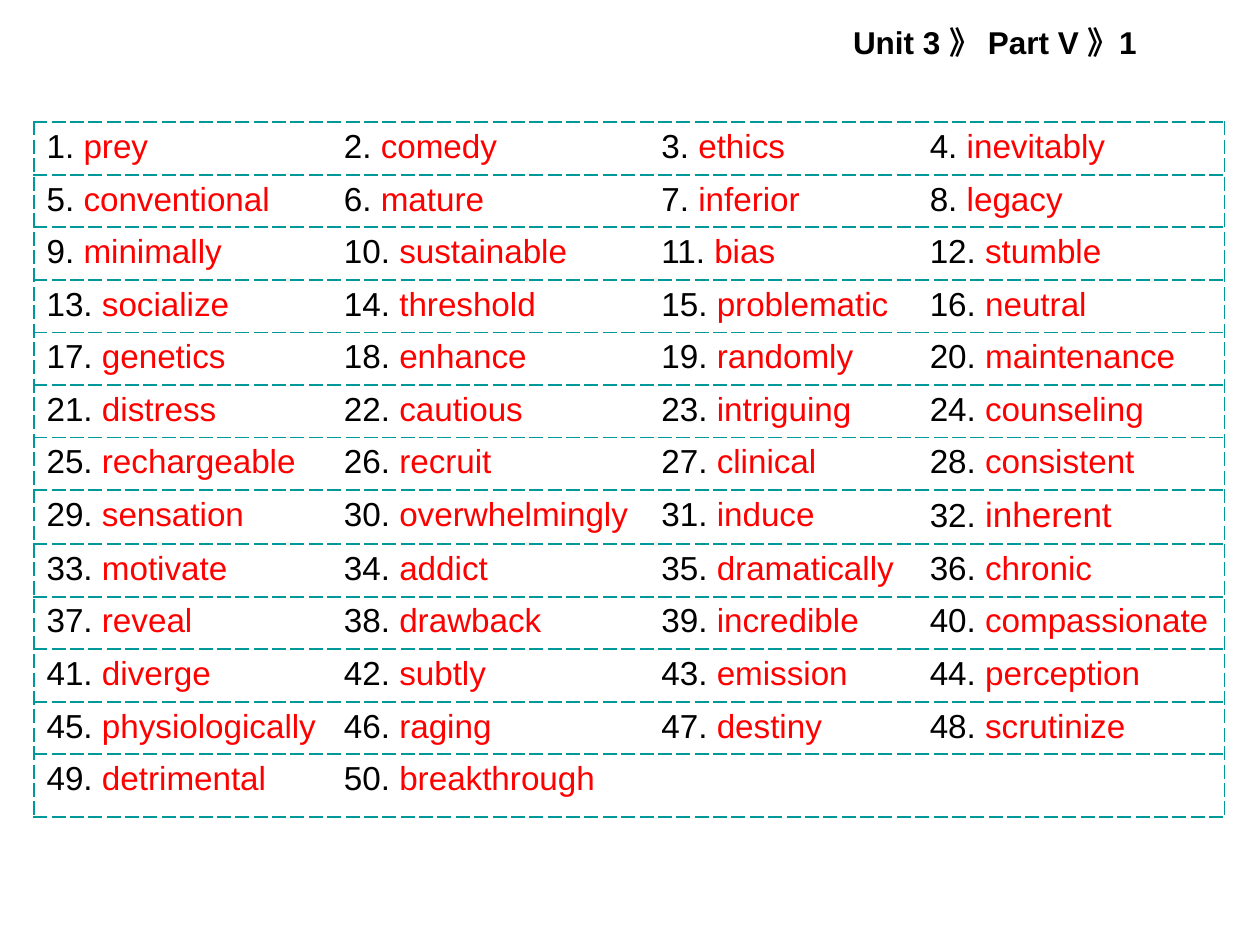
from lxml import etree
from pptx import Presentation
from pptx.dml.color import RGBColor
from pptx.enum import text
from pptx.oxml import ns
from pptx.util import Inches, Pt

WORDS = """prey comedy ethics inevitably
conventional mature inferior legacy
minimally sustainable bias stumble
socialize threshold problematic neutral
genetics enhance randomly maintenance
distress cautious intriguing counseling
rechargeable recruit clinical consistent
sensation overwhelmingly induce inherent
motivate addict dramatically chronic
reveal drawback incredible compassionate
diverge subtly emission perception
physiologically raging destiny scrutinize
detrimental breakthrough""".split()
COLS = [2.36, 2.52, 2.13, 2.44]
ROWS = [0.417] * 7 + [0.43] + [0.417] * 4 + [0.5]
NO_GRID = "{2D5ABB26-0587-4C30-8999-92F81FD0307C}"


def add_run(p, words, size, color, bold=False):
    r = p.add_run()
    r.text = words
    r.font.name = "Arial"
    r.font.size = Pt(size)
    r.font.bold = bold
    r.font.color.rgb = RGBColor.from_string(color)


def add_border(cell, side, color):
    ln = etree.SubElement(cell._tc.get_or_add_tcPr(), ns.qn("a:" + side), w=str(Pt(1.08)))
    fill = etree.SubElement(ln, ns.qn("a:solidFill"))
    etree.SubElement(fill, ns.qn("a:srgbClr"), val=color)
    etree.SubElement(ln, ns.qn("a:prstDash"), val="dash")


prs = Presentation()
prs.slide_width, prs.slide_height = Inches(10), Inches(7.5)
s = prs.slides.add_slide(prs.slide_layouts[5])

# Word table
frame = s.shapes.add_table(len(ROWS), len(COLS), Inches(0.27), Inches(0.97),
                           Inches(sum(COLS)), Inches(sum(ROWS)))
table = frame.table
table.first_row = table.horz_banding = False
table._tbl.tblPr.find(ns.qn("a:tableStyleId")).text = NO_GRID
for col, width in zip(table.columns, COLS):
    col.width = Inches(width)
for row, height in zip(table.rows, ROWS):
    row.height = Inches(height)

# Dashed rules between rows and around the table
for row in table.rows:
    for i, cell in enumerate(row.cells):
        if i == 0:
            add_border(cell, "lnL", "009999")
        if i == len(COLS) - 1:
            add_border(cell, "lnR", "009999")
        add_border(cell, "lnT", "009999")
        add_border(cell, "lnB", "009999")
        cell.fill.background()

# Numbered words, row by row
for i, word in enumerate(WORDS):
    p = table.cell(*divmod(i, len(COLS))).text_frame.paragraphs[0]
    add_run(p, f"{i + 1}. ", 19, "000000")
    add_run(p, word, 20 if word == "inherent" else 19, "FF0000")

# Heading
title = s.shapes.title
title.left, title.top = Inches(6.67), Inches(0.13)
title.width, title.height = Inches(2.7), Inches(0.4)
tf = title.text_frame
tf.word_wrap = False
tf.auto_size = text.MSO_AUTO_SIZE.NONE
tf.vertical_anchor = text.MSO_ANCHOR.TOP
p = tf.paragraphs[0]
p.alignment = text.PP_ALIGN.LEFT
add_run(p, "Unit 3 》 Part V 》1", 18, "000000", bold=True)

prs.save("out.pptx")
